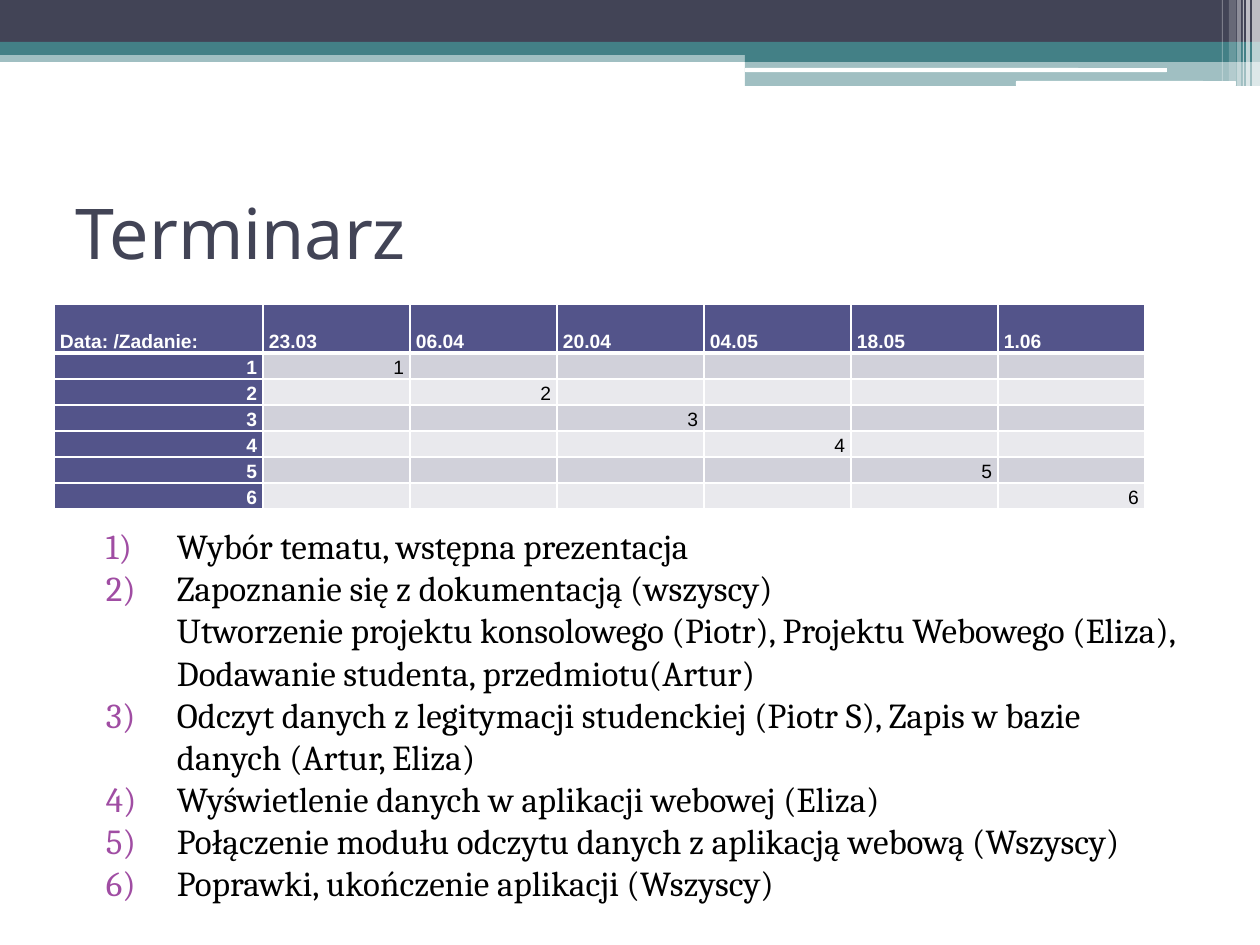
from lxml import etree
from pptx import Presentation
from pptx.dml.color import RGBColor
from pptx.enum.shapes import MSO_SHAPE
from pptx.enum.text import MSO_ANCHOR, MSO_AUTO_SIZE, PP_ALIGN
from pptx.oxml.ns import qn
from pptx.util import Emu, Pt

RECT, ROUND = MSO_SHAPE.RECTANGLE, MSO_SHAPE.ROUNDED_RECTANGLE
LEFT, RIGHT = PP_ALIGN.LEFT, PP_ALIGN.RIGHT
TOP, MIDDLE, BOTTOM = MSO_ANCHOR.TOP, MSO_ANCHOR.MIDDLE, MSO_ANCHOR.BOTTOM
NAVY, TEAL, WHITE, BLACK = "424456", "438086", "FFFFFF", "000000"
INDIGO, PURPLE, BANDS = "53548A", "A04DA3", ("D1D1DA", "E9E9ED")

# Content
TITLE = "Terminarz"
CORNER = "Data: /Zadanie:"
DATES = ["23.03", "06.04", "20.04", "04.05", "18.05", "1.06"]
TASKS = [
    "Wybór tematu, wstępna prezentacja",
    "Zapoznanie się z dokumentacją (wszyscy)\nUtworzenie projektu konsolowego (Piotr), "
    "Projektu Webowego (Eliza), Dodawanie studenta, przedmiotu(Artur)",
    "Odczyt danych z legitymacji studenckiej (Piotr S), Zapis w bazie danych (Artur, Eliza)",
    "Wyświetlenie danych w aplikacji webowej (Eliza)",
    "Połączenie modułu odczytu danych z aplikacją webową (Wszyscy)",
    "Poprawki, ukończenie aplikacji (Wszyscy)",
]
# Header bars: shape, left, top, width, height, colour, opacity in percent
BARS = [
    (RECT, 0, 50, 1260, 12, TEAL, 50),
    (RECT, 0, 0, 1260, 43, NAVY, 100),
    (RECT, 0, 42, 1260, 13, TEAL, 100),
    (RECT, 745, 49, 515, 13, TEAL, 100),
    (RECT, 745, 61, 515, 25, TEAL, 50),
    (ROUND, 745, 68, 422, 4, WHITE, 100),
    (ROUND, 1016, 81, 220, 5, WHITE, 100),
]
# White stripes at the right end: left, width, height, opacity
STRIPES = [(1252, 8, 86, 65), (1246, 4, 86, 65), (1243, 1, 86, 60),
           (1237, 4, 86, 40), (1229, 7, 81, 20), (1222, 1, 81, 30)]


def px(n):
    return Emu(round(n * 914400 / 126))


def rgb(value):
    return RGBColor.from_string(value)


def write(paragraph, text, size=20, font="Cambria", color=BLACK, bold=False, align=LEFT):
    paragraph.text = text
    paragraph.alignment = align
    for run in paragraph.runs:
        run.font.size, run.font.name, run.font.bold = Pt(size), font, bold
        run.font.color.rgb = rgb(color)
    if not text:
        etree.SubElement(paragraph._p, qn("a:endParaRPr"), sz=str(size * 100))


def set_frame(frame, anchor):
    frame.word_wrap = True
    frame.auto_size = MSO_AUTO_SIZE.NONE
    frame.vertical_anchor = anchor
    frame.margin_left = frame.margin_top = frame.margin_bottom = px(13)
    frame.margin_right = px(12)


def add_bar(kind, left, top, width, height, color, opacity):
    bar = slide.shapes.add_shape(kind, px(left), px(top), px(width), px(height))
    bar.shadow.inherit = False
    bar.line.fill.background()
    bar.fill.solid()
    bar.fill.fore_color.rgb = rgb(color)
    if opacity < 100:
        tint = bar.fill._xPr.find(qn("a:solidFill"))[0]
        etree.SubElement(tint, qn("a:alpha"), val=str(opacity * 1000))


def add_borders(cell, **widths):
    properties = cell._tc.get_or_add_tcPr()
    for side in "LRTB":
        line = etree.SubElement(properties, qn("a:ln" + side), w=str(Pt(widths.get(side, 1))))
        fill = etree.SubElement(line, qn("a:solidFill"))
        etree.SubElement(fill, qn("a:srgbClr"), val=WHITE)


def number_item(paragraph):
    properties = paragraph._p.get_or_add_pPr()
    properties.set("marL", str(px(110)))
    properties.set("indent", str(px(-71)))
    color = etree.SubElement(properties, qn("a:buClr"))
    etree.SubElement(color, qn("a:srgbClr"), val=PURPLE)
    etree.SubElement(properties, qn("a:buFont"), typeface="+mj-lt")
    etree.SubElement(properties, qn("a:buAutoNum"), type="arabicParenR")


prs = Presentation()
prs.slide_width, prs.slide_height = px(1260), px(945)
slide = prs.slides.add_slide(prs.slide_layouts[5])

# Header decoration
for bar in BARS:
    add_bar(*bar)
for left, width, height, opacity in STRIPES:
    add_bar(RECT, left, 0, width, height, WHITE, opacity)

# Title
title = slide.shapes.title
title.left, title.top, title.width, title.height = px(63), px(158), px(1134), px(147)
set_frame(title.text_frame, MIDDLE)
write(title.text_frame.paragraphs[0], TITLE, size=40, font="Noto Sans", color=NAVY)

# Task list
tasks = slide.shapes.add_textbox(px(54), px(512), px(1134), px(328)).text_frame
set_frame(tasks, TOP)
for i, task in enumerate(TASKS):
    item = tasks.paragraphs[0] if i == 0 else tasks.add_paragraph()
    write(item, task)
    number_item(item)

# Schedule: task n falls on date n
count = len(DATES)
rows = [[CORNER] + DATES]
rows += [[str(n)] + [str(n) if d == n else "" for d in range(1, count + 1)]
         for n in range(1, count + 1)]
widths, heights = [209] + [147] * count, [49] + [26] * count
schedule = slide.shapes.add_table(len(rows), len(widths), px(54), px(304),
                                  px(sum(widths)), px(sum(heights))).table
for column, width in zip(schedule.columns, widths):
    column.width = px(width)
for r, (row, height) in enumerate(zip(rows, heights)):
    schedule.rows[r].height = px(height)
    for c, text in enumerate(row):
        cell = schedule.cell(r, c)
        heading = r == 0 or c == 0
        cell.vertical_anchor = BOTTOM
        cell.margin_left = cell.margin_right = px(6)
        cell.margin_top = cell.margin_bottom = 0
        add_borders(cell, T=3 if r == 1 else 1, B=3 if r == 0 else 1)
        cell.fill.solid()
        cell.fill.fore_color.rgb = rgb(INDIGO if heading else BANDS[(r - 1) % 2])
        write(cell.text_frame.paragraphs[0], text, size=11, font="Arial", bold=heading,
              color=WHITE if heading else BLACK, align=RIGHT if r else LEFT)

prs.save("out.pptx")
